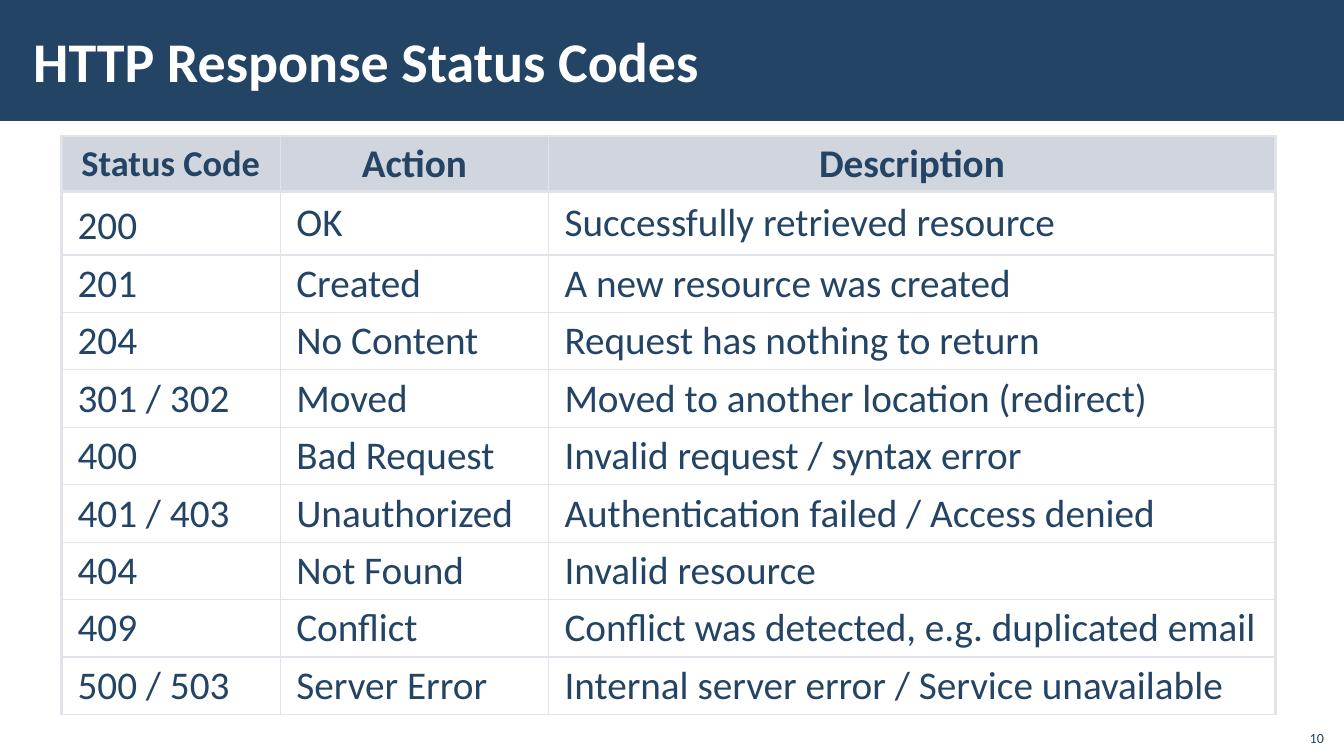
import dataclasses
import typing

import pptx
import pptx.dml.color
import pptx.enum.shapes
import pptx.enum.text
import pptx.oxml
import pptx.oxml.ns
import pptx.util

Inches = pptx.util.Inches
Pt = pptx.util.Pt
Align = pptx.enum.text.PP_ALIGN
Anchor = pptx.enum.text.MSO_ANCHOR


@dataclasses.dataclass(frozen=True)
class Theme:
    font: str = "Calibri"
    navy: str = "234465"
    white: str = "FFFFFF"
    header_fill: str = "D1D5DD"
    border: str = "E0E3E9"
    title_size: float = 40
    body_size: float = 28
    code_header_size: float = 26
    number_size: float = 10
    outer_line: float = 2.25
    inner_line: float = 1


class Status(typing.NamedTuple):
    code: str
    action: str
    description: str


THEME = Theme()
HEADINGS = Status("Status Code", "Action", "Description")
STATUSES = [
    Status("200", "OK", "Successfully retrieved resource"),
    Status("201", "Created", "A new resource was created"),
    Status("204", "No Content", "Request has nothing to return"),
    Status("301 / 302", "Moved", "Moved to another location (redirect)"),
    Status("400", "Bad Request", "Invalid request / syntax error"),
    Status("401 / 403", "Unauthorized", "Authentication failed / Access denied"),
    Status("404", "Not Found", "Invalid resource"),
    Status("409", "Conflict", "Conflict was detected, e.g. duplicated email"),
    Status("500 / 503", "Server Error", "Internal server error / Service unavailable"),
]
COLUMN_WIDTHS = [2.17, 2.66, 7.21]
ROW_HEIGHTS = [0.55, 0.63] + [0.57] * (len(STATUSES) - 1)


def rgb(color: str) -> pptx.dml.color.RGBColor:
    return pptx.dml.color.RGBColor.from_string(color)


def write(frame, text: str, *, size: float, color: str = THEME.navy,
          bold: bool = False, align=Align.LEFT, spacing=None) -> None:
    paragraph = frame.paragraphs[0]
    paragraph.alignment = align
    if spacing is not None:
        paragraph.line_spacing = spacing
    run = paragraph.add_run()
    run.text = text
    run.font.name = THEME.font
    run.font.size = Pt(size)
    run.font.bold = bold
    run.font.color.rgb = rgb(color)


def add_text(slide, text: str, left: float, top: float, width: float,
             height: float, *, anchor, **text_format) -> None:
    box = slide.shapes.add_textbox(
        Inches(left), Inches(top), Inches(width), Inches(height))
    frame = box.text_frame
    frame.word_wrap = True
    frame.vertical_anchor = anchor
    frame.margin_left = frame.margin_right = Inches(0.12)
    frame.margin_top = frame.margin_bottom = Inches(0.04)
    write(frame, text, **text_format)


def set_borders(cell, widths: dict[str, float]) -> None:
    properties = cell._tc.get_or_add_tcPr()
    for side in "LRTB":
        properties.append(pptx.oxml.parse_xml(
            f'<a:ln{side} {pptx.oxml.ns.nsdecls("a")} w="{Pt(widths[side])}">'
            f'<a:solidFill><a:srgbClr val="{THEME.border}"/></a:solidFill>'
            f'</a:ln{side}>'))


def border_widths(row: int, column: int) -> dict[str, float]:
    outer = {
        "L": column == 0,
        "R": column == len(COLUMN_WIDTHS) - 1,
        "T": row <= 1,
        "B": row == 0,
    }
    return {side: THEME.outer_line if thick else THEME.inner_line
            for side, thick in outer.items()}


def fill_cell(cell, text: str, row: int, column: int) -> None:
    cell.vertical_anchor = Anchor.MIDDLE
    cell.margin_left = cell.margin_right = Inches(0.16)
    cell.margin_top = cell.margin_bottom = Inches(0.05)
    set_borders(cell, border_widths(row, column))
    if row == 0:
        cell.fill.solid()
        cell.fill.fore_color.rgb = rgb(THEME.header_fill)
        size = THEME.code_header_size if column == 0 else THEME.body_size
        write(cell.text_frame, text, size=size, bold=True,
              align=Align.CENTER, spacing=0.95)
    else:
        cell.fill.background()
        spacing = Pt(38) if (row, column) == (1, 0) else None
        write(cell.text_frame, text, size=THEME.body_size, spacing=spacing)


def add_status_table(slide) -> None:
    table = slide.shapes.add_table(
        len(ROW_HEIGHTS), len(COLUMN_WIDTHS), Inches(0.61), Inches(1.35),
        Inches(sum(COLUMN_WIDTHS)), Inches(sum(ROW_HEIGHTS))).table
    table.horz_banding = False
    for column, width in zip(table.columns, COLUMN_WIDTHS):
        column.width = Inches(width)
    for row, height in zip(table.rows, ROW_HEIGHTS):
        row.height = Inches(height)
    for row, status in enumerate([HEADINGS, *STATUSES]):
        for column, text in enumerate(status):
            fill_cell(table.cell(row, column), text, row, column)


def add_title_band(slide) -> None:
    band = slide.shapes.add_shape(
        pptx.enum.shapes.MSO_SHAPE.RECTANGLE, 0, 0, Inches(13.33), Inches(1.2))
    band.shadow.inherit = False
    band.fill.solid()
    band.fill.fore_color.rgb = rgb(THEME.navy)
    band.line.fill.background()


presentation = pptx.Presentation()
presentation.slide_width = Inches(13.33)
presentation.slide_height = Inches(7.5)
slide = presentation.slides.add_slide(presentation.slide_layouts[6])
add_title_band(slide)
add_text(slide, "HTTP Response Status Codes", 0.21, 0.11, 10.63, 0.97,
         anchor=Anchor.MIDDLE, size=THEME.title_size, color=THEME.white, bold=True)
add_status_table(slide)
add_text(slide, "10", 12.85, 7.12, 0.4, 0.32, anchor=Anchor.BOTTOM,
         size=THEME.number_size, align=Align.RIGHT)
presentation.save("out.pptx")
